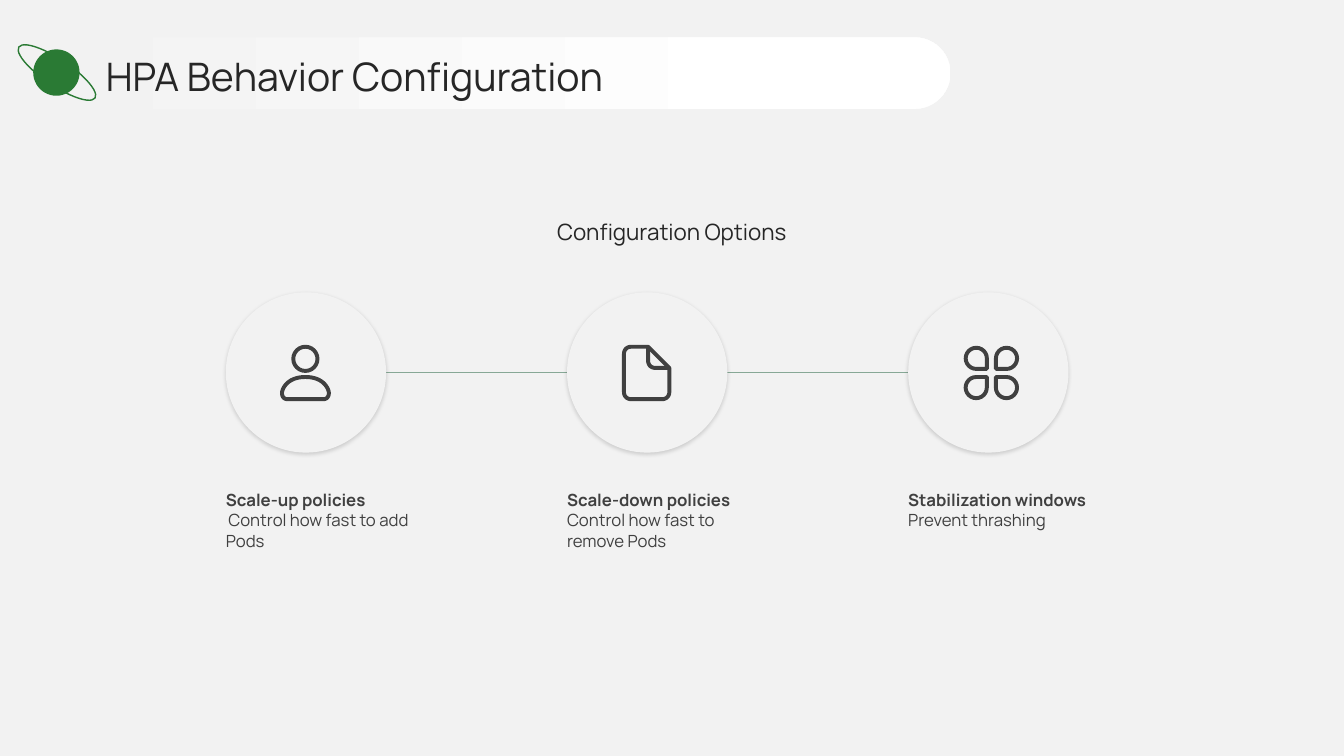
"""Build the HPA Behavior Configuration slide."""
from lxml import etree
from pptx import Presentation
from pptx import util as u
from pptx.dml.color import RGBColor
from pptx.enum import shapes, text
from pptx.oxml.ns import qn

COLORS = {"back": "F2F2F2", "white": "FFFFFF", "ink": "262626", "gray": "404040",
          "green": "2A7A34", "rule": "87A896", "shadow": "000000"}
RGB = {name: RGBColor.from_string(value) for name, value in COLORS.items()}
SHAPE = shapes.MSO_SHAPE
ALIGN, ANCHOR = text.PP_ALIGN, text.MSO_ANCHOR


def paint(sp, fill=None, line=None, width=1):
    sp.shadow.inherit = False
    if fill:
        sp.fill.solid()
        sp.fill.fore_color.rgb = RGB[fill]
    else:
        sp.fill.background()
    if line:
        sp.line.color.rgb = RGB[line]
        sp.line.width = u.Pt(width)
    else:
        sp.line.fill.background()
    return sp


def write(sp, lines, size, color, anchor=ANCHOR.TOP, insets=(0, 0, 0, 0)):
    tf = sp.text_frame
    tf.word_wrap = True
    tf.auto_size = text.MSO_AUTO_SIZE.NONE
    tf.vertical_anchor = anchor
    tf.margin_left, tf.margin_top, tf.margin_right, tf.margin_bottom = map(u.Inches, insets)
    for i, (words, align, bold) in enumerate(lines):
        p = tf.add_paragraph() if i else tf.paragraphs[0]
        p.alignment = align
        r = p.add_run()
        r.text = words
        r.font.name, r.font.size, r.font.bold = "Manrope", u.Pt(size), bold
        r.font.color.rgb = RGB[color]


prs = Presentation()
prs.slide_width, prs.slide_height = u.Inches(40 / 3), u.Inches(7.5)
s = prs.slides.add_slide(prs.slide_layouts[5])
paint(s.shapes.add_shape(SHAPE.RECTANGLE, 0, 0, prs.slide_width, prs.slide_height), "back")

LEFT, PITCH, DISC, DISC_TOP = 2.24, 3.385, 1.59, 2.9
MIDDLE = DISC_TOP + DISC / 2
STROKE = 2.8

rule = s.shapes.add_connector(shapes.MSO_CONNECTOR.STRAIGHT, u.Inches(LEFT), u.Inches(MIDDLE),
                              u.Inches(LEFT + 2 * PITCH + DISC), u.Inches(MIDDLE))
rule.line.color.rgb = RGB["rule"]
rule.line.width = u.Pt(0.75)
etree.SubElement(rule._element.spPr, qn("a:effectLst"))

options = [
    [("Scale-up policies", ALIGN.LEFT, True),
     ("Control how fast to add", ALIGN.CENTER, False), ("Pods", ALIGN.LEFT, False)],
    [("Scale-down policies", ALIGN.LEFT, True),
     ("Control how fast to remove Pods", ALIGN.LEFT, False)],
    [("Stabilization windows", ALIGN.LEFT, True), ("Prevent thrashing", ALIGN.LEFT, False)],
]
for col, lines in enumerate(options):
    x = LEFT + col * PITCH
    box = s.shapes.add_textbox(u.Inches(x), u.Inches(4.82), u.Inches(2.08), u.Inches(1.89))
    write(box, lines, 12, "gray", insets=(0, 0.04, 0.24, 0.04))
    disc = paint(s.shapes.add_shape(SHAPE.OVAL, u.Inches(x), u.Inches(DISC_TOP),
                                    u.Inches(DISC), u.Inches(DISC)), "back")
    shadow = etree.SubElement(disc._element.spPr.find(qn("a:effectLst")), qn("a:outerShdw"),
                              blurRad=str(u.Pt(3)), dist=str(u.Pt(1)), dir="5400000",
                              algn="t", rotWithShape="0")
    tint = etree.SubElement(shadow, qn("a:srgbClr"), val=COLORS["shadow"])
    etree.SubElement(tint, qn("a:alpha"), val="15000")

paint(s.shapes.add_shape(SHAPE.OVAL, u.Inches(2.91), u.Inches(3.44), u.Inches(0.24),
                         u.Inches(0.24)), None, "gray", STROKE)

shoulders = [(2.85, 3.96),
             [(2.81, 3.96), (2.79, 3.92), (2.8, 3.88)],
             [(2.82, 3.81), (2.89, 3.74), (3.03, 3.74)],
             [(3.17, 3.74), (3.24, 3.81), (3.26, 3.88)],
             [(3.27, 3.92), (3.25, 3.96), (3.21, 3.96)]]
page = [(6.43, 3.44), [(6.26, 3.44)],
        [(6.22, 3.44), (6.19, 3.47), (6.19, 3.51)], [(6.19, 3.89)],
        [(6.19, 3.93), (6.22, 3.96), (6.26, 3.96)], [(6.57, 3.96)],
        [(6.61, 3.96), (6.64, 3.93), (6.64, 3.89)], [(6.64, 3.65)]]
fold = [(6.43, 3.44), [(6.43, 3.58)],
        [(6.43, 3.62), (6.46, 3.65), (6.5, 3.65)], [(6.64, 3.65)]]
for outline, closed in ((shoulders, True), (page, True), (fold, False)):
    points = outline[:1]
    for segment in outline[1:]:
        if len(segment) == 1:
            points += segment
            continue
        corners = [points[-1], *segment]
        for t in (n / 12 for n in range(1, 13)):
            weights = ((1 - t) ** 3, 3 * t * (1 - t) ** 2, 3 * t * t * (1 - t), t ** 3)
            points.append(tuple(sum(w * c[axis] for w, c in zip(weights, corners))
                                for axis in (0, 1)))
    points = [(u.Inches(x), u.Inches(y)) for x, y in points]
    fb = s.shapes.build_freeform(*points[0])
    fb.add_line_segments(points[1:], close=closed)
    paint(fb.convert_to_shape(), None, "gray", STROKE)

for col, row, turn in ((0, 0, 90), (1, 0, 180), (0, 1, 0), (1, 1, 270)):
    petal = paint(s.shapes.add_shape(SHAPE.TEAR, u.Inches(9.58 + 0.3 * col),
                                     u.Inches(3.45 + 0.29 * row), u.Inches(0.21),
                                     u.Inches(0.21)), None, "gray", STROKE)
    petal.rotation = turn

heading = s.shapes.add_textbox(u.Inches(1.28), u.Inches(1.49), u.Inches(10.77), u.Inches(0.94))
write(heading, [("Configuration Options", ALIGN.CENTER, False)], 16, "ink", ANCHOR.BOTTOM)

pill = paint(s.shapes.add_shape(SHAPE.ROUNDED_RECTANGLE, u.Inches(0.5), u.Inches(0.37),
                                u.Inches(8.93), u.Inches(0.71)))
pill.adjustments[0] = 0.5
pill.fill.gradient()
pill.fill.gradient_angle = 0
for stop, color, position in zip(pill.fill.gradient_stops, ("back", "white"), (0, 0.8)):
    stop.color.rgb = RGB[color]
    stop.position = position

title = s.shapes.title
title.left, title.top = u.Inches(1.05), u.Inches(0.5)
title.width, title.height = u.Inches(11.67), u.Inches(0.51)
write(title, [("HPA Behavior Configuration", ALIGN.LEFT, False)], 28, "ink", ANCHOR.MIDDLE)
pill._element.addnext(title._element)

paint(s.shapes.add_shape(SHAPE.OVAL, u.Inches(0.33), u.Inches(0.49), u.Inches(0.46),
                         u.Inches(0.46)), "green")
orbit = paint(s.shapes.add_shape(SHAPE.OVAL, u.Inches(0.11), u.Inches(0.59), u.Inches(0.91),
                                 u.Inches(0.26)), None, "green")
orbit.rotation = 33.8

prs.save("out.pptx")
